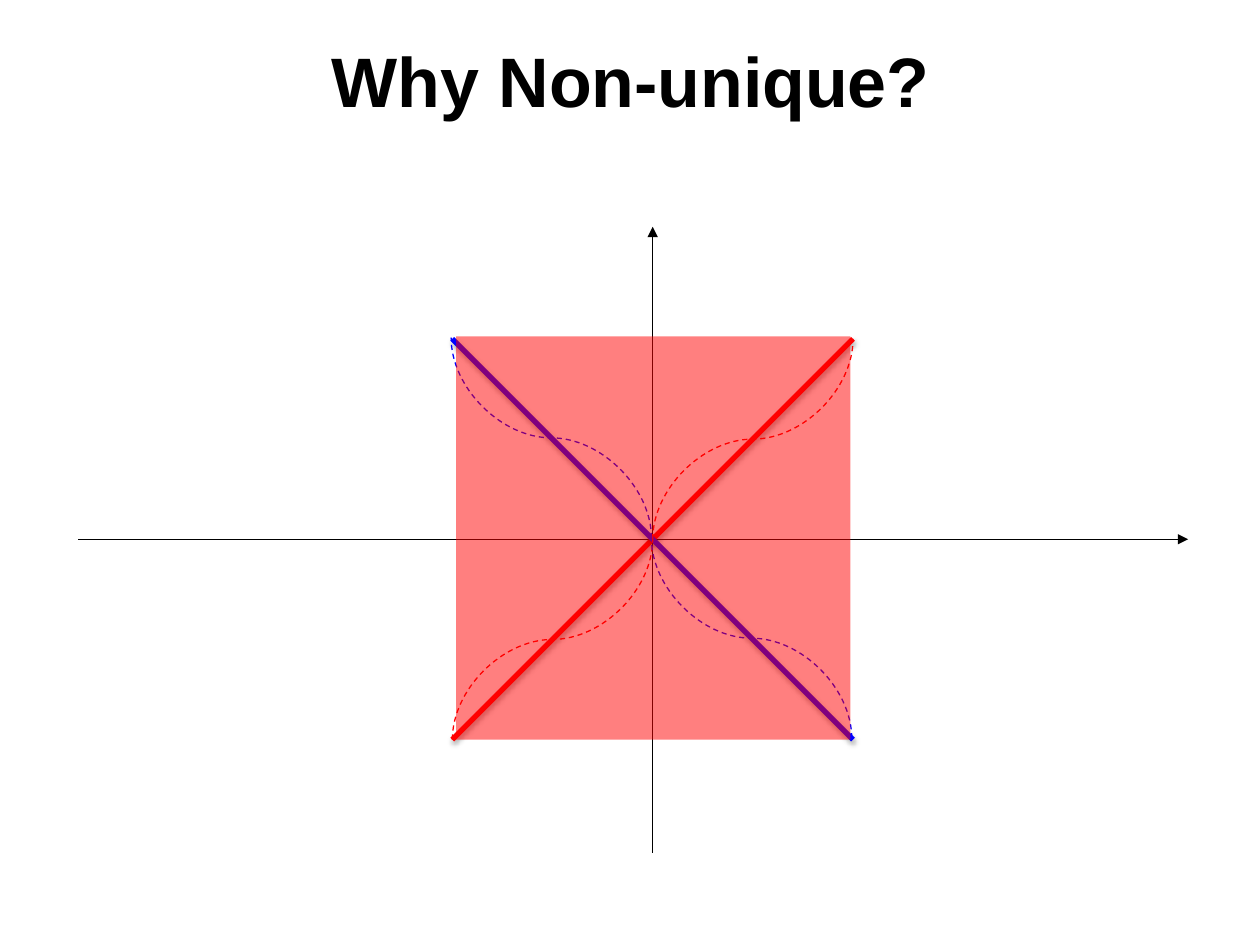
from lxml.etree import SubElement
from pptx import Presentation
from pptx.dml.color import RGBColor
from pptx.enum.dml import MSO_LINE
from pptx.enum.shapes import MSO_CONNECTOR, MSO_SHAPE
from pptx.enum.text import MSO_ANCHOR, PP_ALIGN
from pptx.oxml.ns import qn
from pptx.util import Inches, Pt

BLACK = RGBColor(0x00, 0x00, 0x00)
RED = RGBColor(0xFF, 0x00, 0x00)
BLUE = RGBColor(0x00, 0x00, 0xFF)
ORIGIN_X, ORIGIN_Y = 5.18, 4.28
REACH = 1.59


def write_text(box, text, *, font, size, color, bold=False, align=PP_ALIGN.LEFT):
    para = box.text_frame.paragraphs[0]
    para.alignment = align
    span = para.add_run()
    span.text = text
    span.font.size = Pt(size)
    span.font.bold = bold
    span.font.color.rgb = color
    span.font.name = font
    return span


def add_shadow(effects, blur, distance, angle, opacity):
    """Add an outer shadow; blur and distance in points, opacity in percent."""
    shadow = SubElement(effects, qn("a:outerShdw"), blurRad=str(Pt(blur)),
                        dist=str(Pt(distance)), dir=str(angle * 60000),
                        algn="ctr", rotWithShape="0")
    color = SubElement(shadow, qn("a:srgbClr"), val=str(BLACK))
    SubElement(color, qn("a:alpha"), val=str(opacity * 1000))


class SlideBuilder:
    font = "Arial"
    thin, thick = 0.75, 3

    def __init__(self, page):
        self.page = page

    def title(self, text):
        box = self.page.shapes.title
        box.left, box.top = Inches(0.17), Inches(0.17)
        box.width, box.height = Inches(9.67), Inches(0.92)
        box.text_frame.vertical_anchor = MSO_ANCHOR.MIDDLE
        span = write_text(box, text, font=self.font, size=40, color=BLACK,
                          bold=True, align=PP_ALIGN.CENTER)
        properties = span.font._element
        effects = SubElement(properties, qn("a:effectLst"))
        properties.find(qn("a:solidFill")).addnext(effects)
        add_shadow(effects, blur=3, distance=3, angle=45, opacity=20)

    def connector(self, shapes, kind, start, end, color, width):
        """Draw a connector and return it with its empty effect list."""
        line = shapes.add_connector(kind, *map(Inches, (*start, *end)))
        line.line.color.rgb = color
        line.line.width = Pt(width)
        return line, SubElement(line._element.spPr, qn("a:effectLst"))

    def axis(self, start, end):
        line, _ = self.connector(self.page.shapes, MSO_CONNECTOR.STRAIGHT,
                                 start, end, BLACK, self.thin)
        SubElement(line.line._get_or_add_ln(), qn("a:tailEnd"), type="triangle")

    def diagonal(self, start, end, color):
        _, effects = self.connector(self.page.shapes, MSO_CONNECTOR.STRAIGHT,
                                    start, end, color, self.thick)
        add_shadow(effects, blur=3.1, distance=1.8, angle=90, opacity=35)

    def wave(self, corners, color, rotation, **flips):
        """Draw a group of dashed S-curves that leave their ends vertically."""
        group = self.page.shapes.add_group_shape()
        for left, top in corners:
            line, _ = self.connector(group.shapes, MSO_CONNECTOR.CURVE, (left, top),
                                     (left + REACH, top + REACH), color, self.thin)
            line.line.dash_style = MSO_LINE.DASH
            frame = line._element.spPr.find(qn("a:xfrm"))
            frame.set("rot", str(rotation * 60000))
            for name, value in flips.items():
                frame.set(name, value)

    def veil(self, left, top, width, height, color, opacity):
        box = self.page.shapes.add_shape(
            MSO_SHAPE.RECTANGLE, *map(Inches, (left, top, width, height)))
        box.shadow.inherit = False
        box.line.fill.background()
        box.fill.solid()
        box.fill.fore_color.rgb = color
        fill = box._element.spPr.find(qn("a:solidFill"))
        SubElement(fill[0], qn("a:alpha"), val=str(opacity * 1000))


def main():
    deck = Presentation()
    deck.slide_width, deck.slide_height = Inches(10), Inches(7.5)
    builder = SlideBuilder(deck.slides.add_slide(deck.slide_layouts[5]))
    builder.title("Why Non-unique?")

    builder.axis((0.62, ORIGIN_Y), (9.43, ORIGIN_Y))
    builder.axis((ORIGIN_X, 6.77), (ORIGIN_X, 1.8))

    left, right = ORIGIN_X - REACH, ORIGIN_X + REACH
    top, bottom = ORIGIN_Y - REACH, ORIGIN_Y + REACH
    builder.diagonal((left, bottom), (right, top), RED)
    builder.diagonal((right, bottom), (left, top), BLUE)

    builder.wave([(left, ORIGIN_Y), (ORIGIN_X, top)], RED, 90, flipH="1", flipV="1")
    nudge = 0.01
    builder.wave([(ORIGIN_X - nudge, ORIGIN_Y - nudge), (left - nudge, top - nudge)],
                 BLUE, 270, flipV="1")

    builder.veil(3.62, 2.67, 3.13, 3.2, RED, opacity=50)
    deck.save("out.pptx")


if __name__ == "__main__":
    main()
